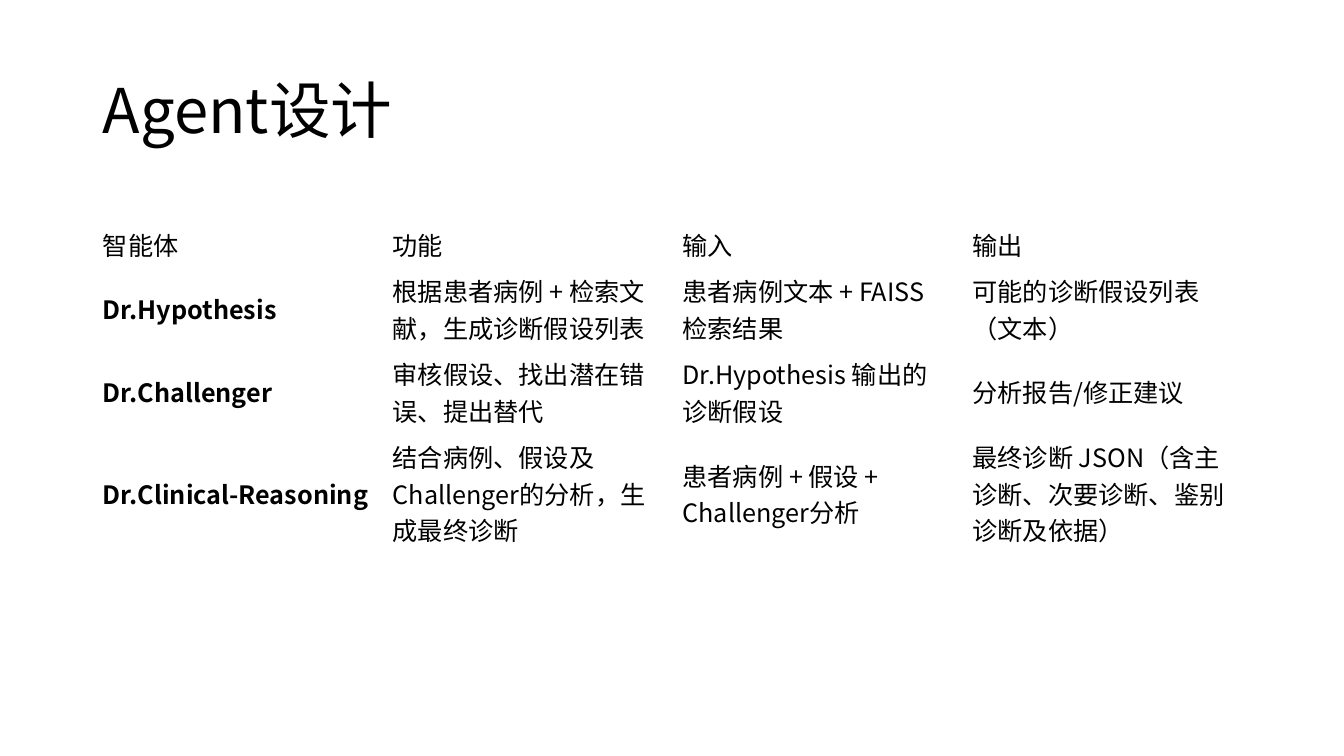
from dataclasses import dataclass

from lxml import etree
from pptx import Presentation
from pptx import util as u
from pptx.dml.color import RGBColor
from pptx.enum import text
from pptx.oxml.ns import qn


@dataclass(frozen=True)
class Theme:
    """Colours, font and type sizes of the deck."""
    ink: str = "000000"
    paper: str = "FFFFFF"
    font: str = "Noto Sans CJK SC"
    head: int = 44
    body: int = 18


def write(frame, words, size, ink, font, bold=False, space=1.0):
    """Put one formatted, left-aligned paragraph in a text frame."""
    para = frame.paragraphs[0]
    para.alignment = text.PP_ALIGN.LEFT
    para.line_spacing = space
    run = para.add_run()
    run.text = words
    run.font.size = u.Pt(size)
    run.font.bold = bold
    run.font.name = font
    run.font.color.rgb = RGBColor.from_string(ink)
    east = etree.SubElement(run.font._element, qn("a:ea"))
    east.set("typeface", font)


class Page:
    """One slide with its style; places are shares of the slide's size."""

    def __init__(self, deck, theme):
        """Add a title-only slide with a plain background."""
        self.deck, self.theme = deck, theme
        self.slide = deck.slides.add_slide(deck.slide_layouts[5])
        fill = self.slide.background.fill
        fill.solid()
        fill.fore_color.rgb = RGBColor.from_string(theme.paper)

    def box(self, left, top, wide, high):
        """Turn shares into lengths."""
        across, down = self.deck.slide_width, self.deck.slide_height
        return (int(left * across), int(top * down),
                int(wide * across), int(high * down))

    def title(self, words, *place):
        """Move and fill the title placeholder."""
        shape = self.slide.shapes.title
        shape.left, shape.top, shape.width, shape.height = self.box(*place)
        frame = shape.text_frame
        frame.word_wrap = True
        frame.auto_size = text.MSO_AUTO_SIZE.NONE
        frame.vertical_anchor = text.MSO_ANCHOR.MIDDLE
        look = self.theme
        write(frame, words, look.head, look.ink, look.font, space=0.9)

    def table(self, rows, lines, *place):
        """Add a plain table whose rows are as high as their lines of text."""
        look = self.theme
        grid = self.slide.shapes.add_table(
            len(rows), len(rows[0]), *self.box(*place)).table
        grid.first_row = grid.horz_banding = False
        for r, (row, count) in enumerate(zip(rows, lines)):
            grid.rows[r].height = u.Inches(0.1 + 0.36 * count)
            for c, words in enumerate(row):
                cell = grid.cell(r, c)
                cell.fill.background()
                cell.vertical_anchor = text.MSO_ANCHOR.MIDDLE
                write(cell.text_frame, words, look.body, look.ink, look.font,
                      bold=r > 0 and c == 0)


AGENTS = [
    ["智能体", "功能", "输入", "输出"],
    ["Dr.Hypothesis", "根据患者病例 + 检索文献，生成诊断假设列表",
     "患者病例文本 + FAISS 检索结果", "可能的诊断假设列表（文本）"],
    ["Dr.Challenger", "审核假设、找出潜在错误、提出替代",
     "Dr.Hypothesis 输出的诊断假设", "分析报告/修正建议"],
    ["Dr.Clinical-Reasoning", "结合病例、假设及Challenger的分析，生成最终诊断",
     "患者病例 + 假设 + Challenger分析",
     "最终诊断 JSON（含主诊断、次要诊断、鉴别诊断及依据）"],
]


def main():
    """Build the slide and save it."""
    deck = Presentation()
    deck.slide_width, deck.slide_height = u.Inches(13.33), u.Inches(7.5)
    page = Page(deck, Theme())
    left, wide = 0.92 / 13.33, 11.5 / 13.33
    page.title("Agent设计", left, 0.4 / 7.5, wide, 1.45 / 7.5)
    page.table(AGENTS, [1, 2, 2, 3], left, 2.19 / 7.5, wide, 2.8 / 7.5)
    deck.save("out.pptx")


if __name__ == "__main__":
    main()
